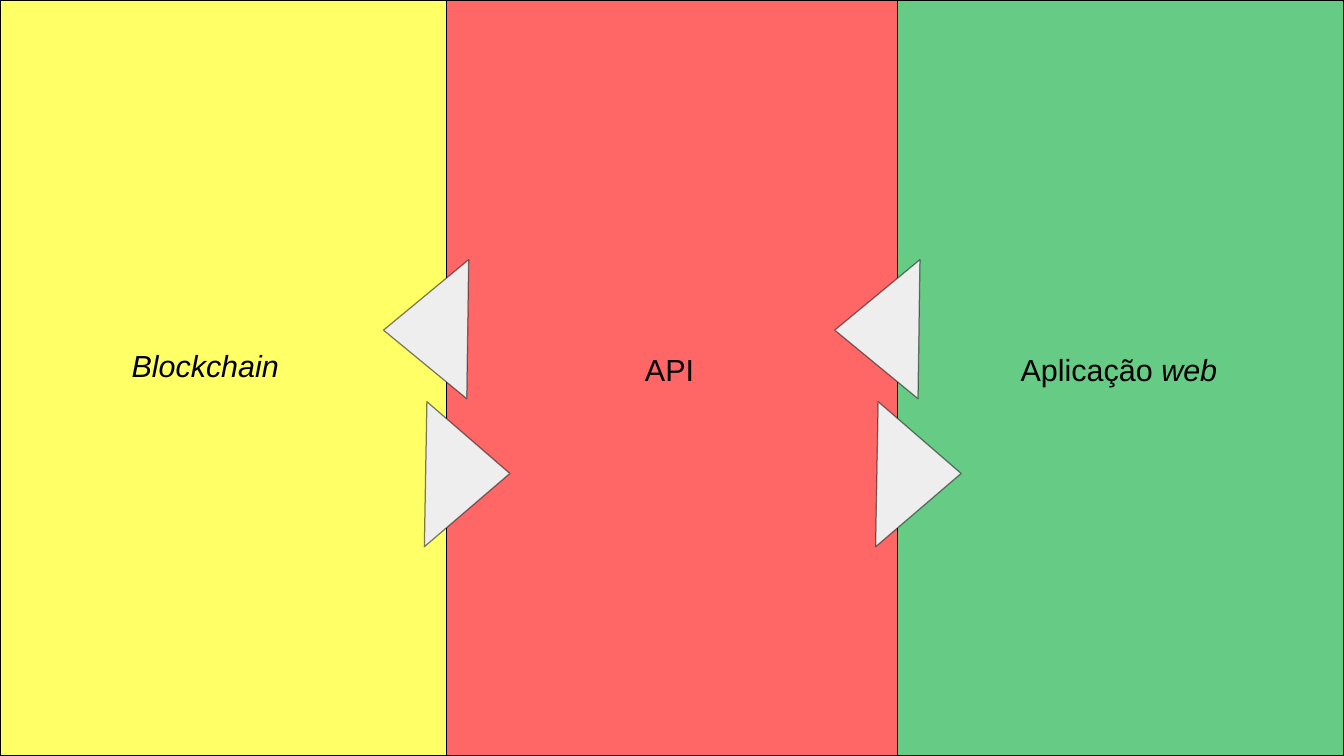
from dataclasses import dataclass

from lxml.etree import SubElement
from pptx import Presentation
from pptx.dml.color import RGBColor
from pptx.enum.shapes import MSO_SHAPE
from pptx.enum.text import MSO_AUTO_SIZE, PP_ALIGN
from pptx.oxml.ns import qn
from pptx.util import Inches, Pt


@dataclass(frozen=True)
class Theme:
    blockchain: str = "FFFF00"
    api: str = "FF0000"
    web_app: str = "00A933"
    arrow: str = "EEEEEE"
    ink: str = "000000"
    font: str = "Arial"
    label_size: int = 18
    layer_opacity: int = 60
    arrow_line_opacity: int = 50


THEME = Theme()
SLIDE_WIDTH, SLIDE_HEIGHT = 11.02, 6.2
API_LEFT, WEB_LEFT = 3.66, 7.36
ARROW_HEIGHT = 0.69


def paint(fill, color, opacity=100):
    fill.solid()
    fill.fore_color.rgb = RGBColor.from_string(color)
    if opacity < 100:
        rgb = fill._xPr.find(qn("a:solidFill")).find(qn("a:srgbClr"))
        SubElement(rgb, qn("a:alpha")).set("val", str(opacity * 1000))


def add_block(slide, preset, box, color, opacity=100, line_opacity=100):
    block = slide.shapes.add_shape(preset, *map(Inches, box))
    block.shadow.inherit = False
    paint(block.fill, color, opacity)
    paint(block.line.fill, THEME.ink, line_opacity)
    block.line.width = Pt(0)
    return block


def add_text(slide, box, runs, size=THEME.label_size, color=THEME.ink, align=PP_ALIGN.LEFT):
    label = slide.shapes.add_textbox(*map(Inches, box))
    frame = label.text_frame
    frame.word_wrap = False
    frame.auto_size = MSO_AUTO_SIZE.SHAPE_TO_FIT_TEXT
    paragraph = frame.paragraphs[0]
    paragraph.alignment = align
    for wording, italic in runs:
        run = paragraph.add_run()
        run.text = wording
        run.font.name = THEME.font
        run.font.size = Pt(size)
        run.font.italic = italic
        run.font.color.rgb = RGBColor.from_string(color)


def add_layer(slide, box, color):
    add_block(slide, MSO_SHAPE.RECTANGLE, box, color, opacity=THEME.layer_opacity)


def add_label(slide, layer_box, runs, offset, width):
    left, top, _, _ = layer_box
    dx, dy = offset
    add_text(slide, (left + dx, top + dy, width, 0.38), runs)


def add_exchange(slide, boundary):
    for dx, top, width, rotation in ((-0.42, 3.55, 1.19, 91), (-0.74, 2.35, 1.14, 270.8)):
        arrow = add_block(slide, MSO_SHAPE.ISOSCELES_TRIANGLE,
                          (boundary + dx, top, width, ARROW_HEIGHT), THEME.arrow,
                          line_opacity=THEME.arrow_line_opacity)
        arrow.adjustments[0] = 0.485
        arrow.rotation = rotation


def build_architecture(slide):
    blockchain_box = (0, 0, API_LEFT, SLIDE_HEIGHT)
    api_box = (API_LEFT, 0, WEB_LEFT - API_LEFT, SLIDE_HEIGHT)
    web_box = (WEB_LEFT, 0, SLIDE_WIDTH - WEB_LEFT, SLIDE_HEIGHT)

    add_layer(slide, web_box, THEME.web_app)
    add_layer(slide, api_box, THEME.api)
    add_layer(slide, blockchain_box, THEME.blockchain)

    add_label(slide, blockchain_box, [("Blockchain", True)], (0.98, 2.8), 1.41)
    add_label(slide, api_box, [("API", False)], (1.53, 2.83), 0.6)
    add_label(slide, web_box, [("Aplicação ", False), ("web", True)], (0.91, 2.83), 1.81)

    for boundary in (WEB_LEFT, API_LEFT):
        add_exchange(slide, boundary)


def main():
    deck = Presentation()
    deck.slide_width = Inches(SLIDE_WIDTH)
    deck.slide_height = Inches(SLIDE_HEIGHT)
    build_architecture(deck.slides.add_slide(deck.slide_layouts[6]))
    deck.save("out.pptx")


if __name__ == "__main__":
    main()
